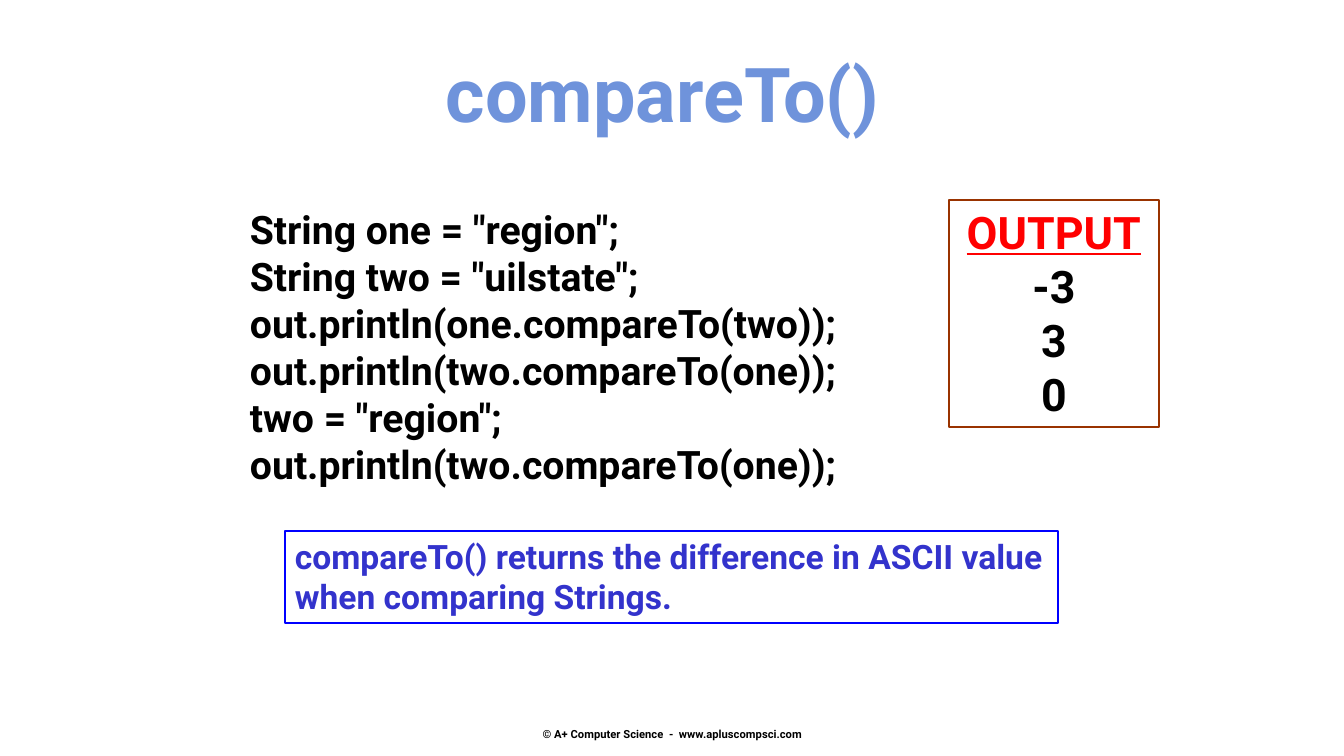
from pptx import Presentation
from pptx.dml.color import RGBColor
from pptx.enum.shapes import MSO_SHAPE as Shape
from pptx.enum.text import MSO_ANCHOR as Anchor, MSO_AUTO_SIZE as AutoSize, PP_ALIGN as Align
from pptx.util import Emu, Pt

EMU_PER_PX = 914400 / 100.8
FONT = "Roboto"
CODE = [
    'String one = "region";',
    'String two = "uilstate";',
    "out.println(one.compareTo(two));",
    "out.println(two.compareTo(one));",
    'two = "region";',
    "out.println(two.compareTo(one));",
]


def px(length):
    return Emu(round(length * EMU_PER_PX))


def rgb(hex_color):
    return RGBColor.from_string(hex_color)


def write(holder, lines, size, color, align=Align.LEFT, anchor=Anchor.TOP, wrap=True):
    """Fill a shape with bold lines, one paragraph each."""
    frame = holder.text_frame
    frame.text = "\n".join(lines)
    frame.word_wrap = wrap
    frame.auto_size = AutoSize.NONE
    frame.vertical_anchor = anchor
    for paragraph in frame.paragraphs:
        paragraph.alignment = align
        paragraph.space_before = Pt(0)
        for run in paragraph.runs:
            run.font.name = FONT
            run.font.size = Pt(size)
            run.font.bold = True
            run.font.color.rgb = rgb(color)
    return frame


def add_frame(slide, box, border):
    frame = slide.shapes.add_shape(Shape.RECTANGLE, *map(px, box))
    frame.shadow.inherit = False
    frame.fill.background()
    frame.line.color.rgb = rgb(border)
    frame.line.width = Pt(1)
    return frame


def add_title(slide, box):
    title = slide.shapes.title
    title.left, title.top, title.width, title.height = map(px, box)
    write(title, ["compareTo() "], 54, "6F93DB", Align.CENTER)


def add_code(slide, box):
    code = slide.shapes.add_textbox(*map(px, box))
    write(code, CODE, 28, "000000", wrap=False)


def add_output(slide, box):
    output = add_frame(slide, box, "993300")
    lines = write(output, ["OUTPUT", "-3", "3", "0"], 32, "000000", Align.CENTER)
    heading = lines.paragraphs[0].runs[0].font
    heading.color.rgb = rgb("FF0000")
    heading.underline = True


def add_explanation(slide, box):
    explanation = add_frame(slide, box, "0000FF")
    write(explanation,
          ["compareTo() returns the difference in ASCII value when comparing Strings."],
          24, "3333CC")


def add_copyright(slide, box):
    notice = slide.shapes.add_textbox(*map(px, box))
    write(notice, ["© A+ Computer Science  -  www.apluscompsci.com"], 8, "000000",
          Align.CENTER, Anchor.MIDDLE, wrap=False)


def main():
    deck = Presentation()
    deck.slide_width, deck.slide_height = px(1344), px(756)
    slide = deck.slides.add_slide(deck.slide_layouts[5])
    add_copyright(slide, (460, 718, 425, 32))
    add_code(slide, (240, 200, 700, 295))
    add_output(slide, (949, 200, 210, 227))
    add_explanation(slide, (285, 531, 773, 92))
    add_title(slide, (168, 42, 1008, 102))
    deck.save("out.pptx")


if __name__ == "__main__":
    main()
